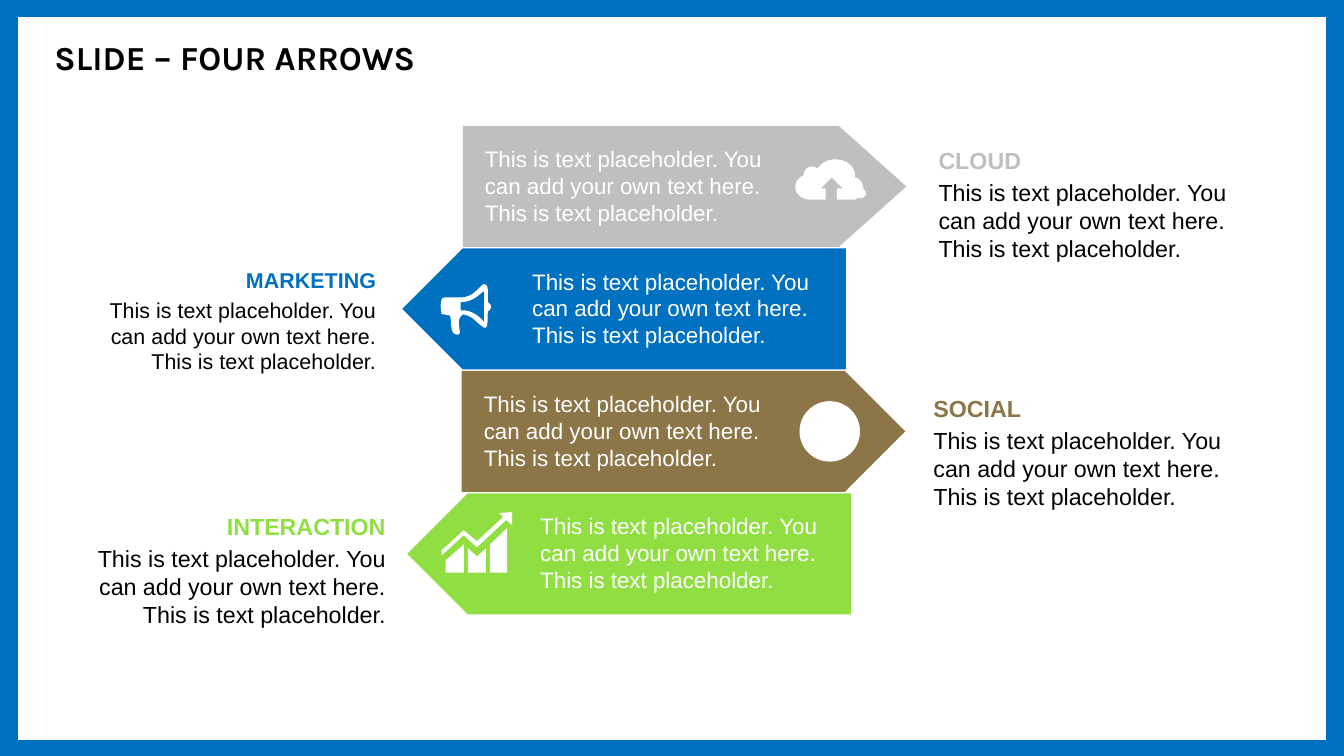
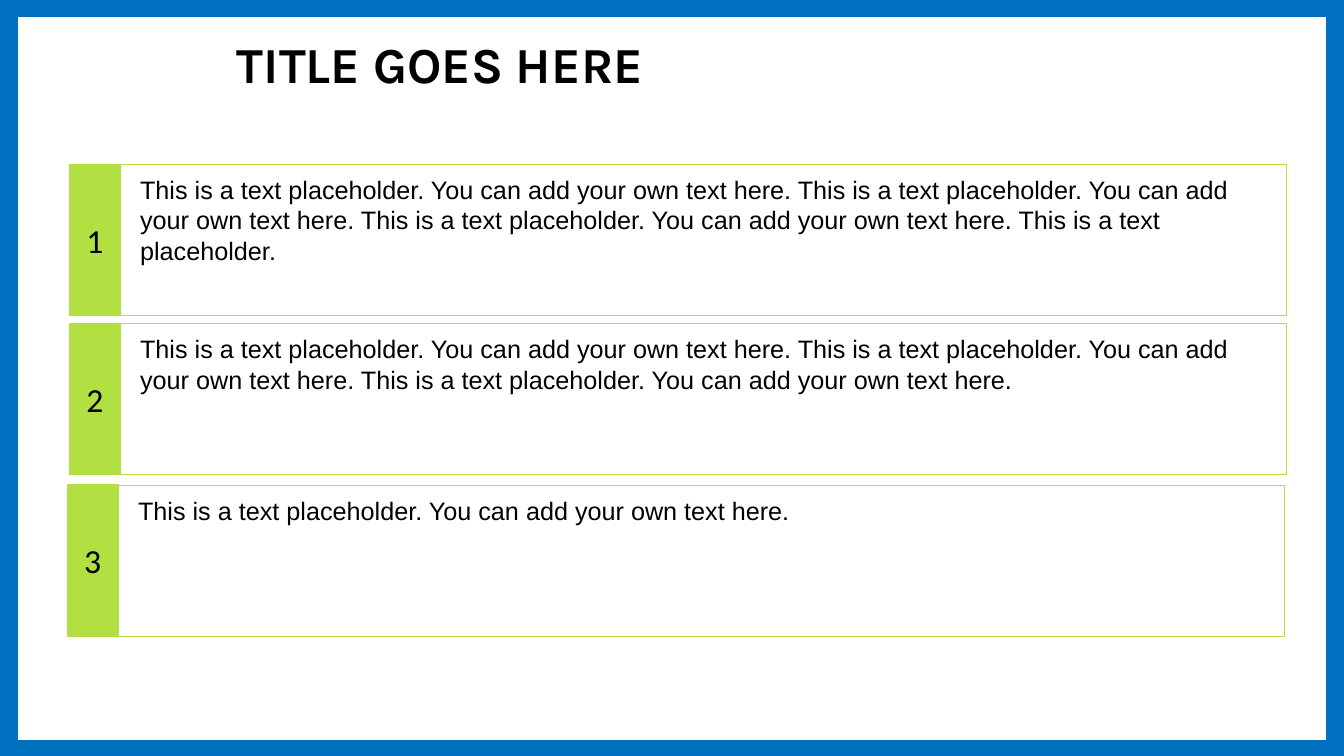
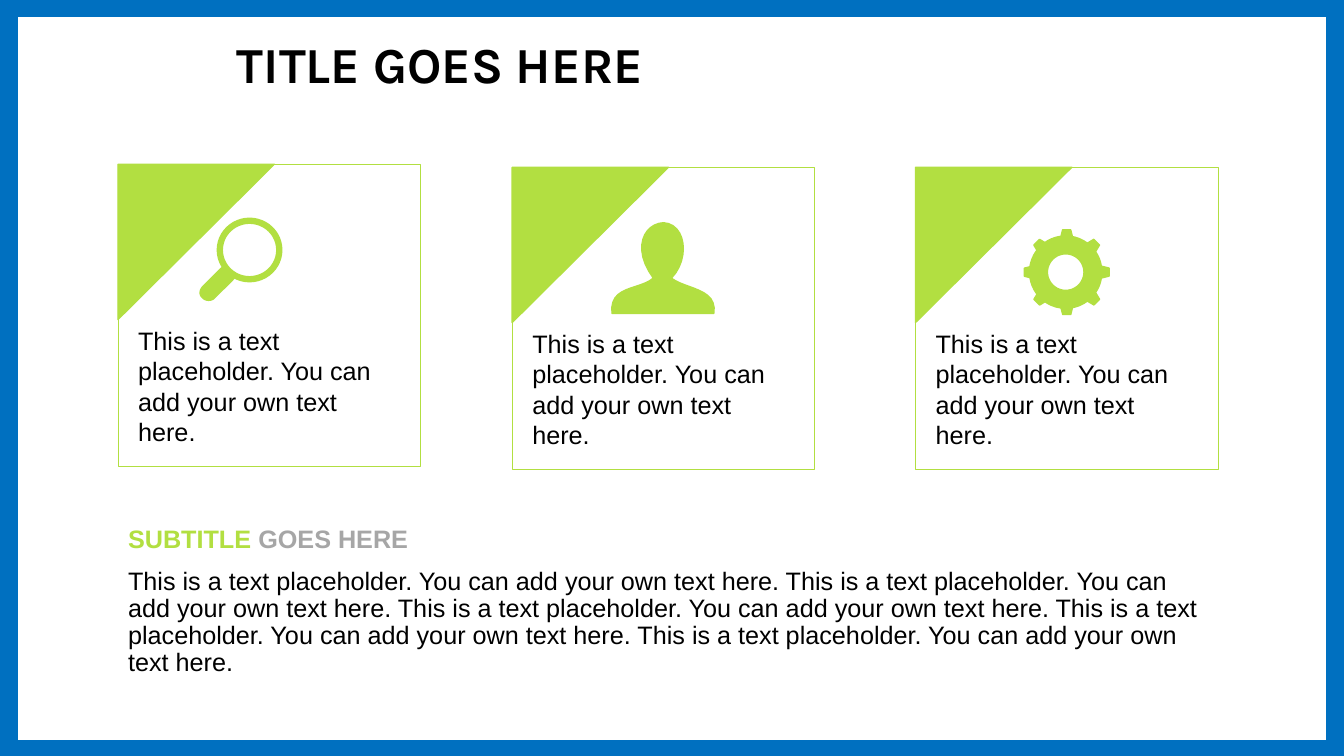
import dataclasses
import math

import lxml.etree
import pptx
import pptx.dml.color
import pptx.enum.shapes
import pptx.enum.text
import pptx.oxml.ns
import pptx.util

Inches = pptx.util.Inches
Pt = pptx.util.Pt
SHAPE = pptx.enum.shapes.MSO_SHAPE
ALIGN = pptx.enum.text.PP_ALIGN
ANCHOR = pptx.enum.text.MSO_ANCHOR


@dataclasses.dataclass(frozen=True)
class Theme:
    blue: str = "0070C0"
    white: str = "FFFFFF"
    black: str = "000000"
    silver: str = "BFBFBF"
    gray: str = "A6A6A6"
    bronze: str = "8C7546"
    green: str = "90DE42"
    lime: str = "B2DF41"
    title_font: str = "Karla"
    text_font: str = "Arial"
    number_font: str = "Calibri"
    large_title: float = 36
    small_title: float = 24
    number: float = 24
    body: float = 18
    label: float = 16.6
    small_label: float = 15.3
    arrow: float = 16


theme = Theme()


def add_figure(slide, outline, fill=None, line=None, width=1, box=None):
    """Add a preset shape in box, or a closed outline of points and 6-number Bezier curves."""
    if isinstance(outline, list):
        x, y = outline[0]
        points = []
        for step in outline[1:]:
            if len(step) == 2:
                points.append(step)
            else:
                x1, y1, x2, y2, x3, y3 = step
                for t in (n / 12 for n in range(1, 13)):
                    a, b, c, d = (1 - t) ** 3, 3 * t * (1 - t) ** 2, 3 * t * t * (1 - t), t ** 3
                    points.append((a * x + b * x1 + c * x2 + d * x3, a * y + b * y1 + c * y2 + d * y3))
            x, y = step[-2:]
        start_x, start_y = outline[0]
        builder = slide.shapes.build_freeform(Inches(start_x), Inches(start_y))
        builder.add_line_segments([(Inches(px), Inches(py)) for px, py in points], close=True)
        shape = builder.convert_to_shape()
    else:
        shape = slide.shapes.add_shape(outline, *map(Inches, box))
    shape.shadow.inherit = False
    if fill:
        shape.fill.solid()
        shape.fill.fore_color.rgb = pptx.dml.color.RGBColor.from_string(fill)
    else:
        shape.fill.background()
    if line:
        shape.line.color.rgb = pptx.dml.color.RGBColor.from_string(line)
        shape.line.width = Pt(width)
    else:
        shape.line.fill.background()
    return shape


def write_text(shape, lines, size, insets=(0.1, 0.05, 0.1, 0.05), align=ALIGN.LEFT,
               anchor=ANCHOR.TOP, font=theme.text_font, before=0, spacing=None):
    """Write one paragraph for each (text, colour, bold) in lines."""
    frame = shape.text_frame
    frame.text = "\n".join(text for text, _, _ in lines)
    frame.word_wrap = True
    frame.auto_size = pptx.enum.text.MSO_AUTO_SIZE.NONE
    frame.vertical_anchor = anchor
    frame.margin_left, frame.margin_top, frame.margin_right, frame.margin_bottom = map(Inches, insets)
    for paragraph, (_, color, bold) in zip(frame.paragraphs, lines):
        paragraph.alignment = align
        paragraph.line_spacing = spacing
        paragraph.space_before = Pt(before)
        run_font = paragraph.runs[0].font
        run_font.name = font
        run_font.size = Pt(size)
        run_font.bold = bold
        run_font.color.rgb = pptx.dml.color.RGBColor.from_string(color)


presentation = pptx.Presentation()
presentation.slide_width = Inches(13.33)
presentation.slide_height = Inches(7.5)

# Slides and titles
slides = []
for layout, text, title_box, size in [
    (5, "SLIDE – FOUR ARROWS", (0.44, 0.19, 9.08, 0.81), theme.small_title),
    (5, "TITLE GOES HERE", (2.25, 0.33, 8.42, 0.67), theme.large_title),
    (1, "TITLE GOES HERE", (2.25, 0.33, 8.42, 0.67), theme.large_title),
]:
    slide = presentation.slides.add_slide(presentation.slide_layouts[layout])
    title = slide.shapes.title
    title.left, title.top, title.width, title.height = map(Inches, title_box)
    write_text(title, [(text, theme.black, True)], size, anchor=ANCHOR.MIDDLE,
               font=theme.title_font, spacing=0.9)
    slides.append(slide)
arrow_slide, list_slide, card_slide = slides

# Blue frame, moved to the master so that every slide shows it
master_tree = presentation.slide_master.shapes.element
for index, (fill, box) in enumerate([
    (theme.blue, (0, 0, 13.33, 7.5)),
    (theme.white, (0.18, 0.17, 12.97, 7.17)),
]):
    panel = add_figure(arrow_slide, SHAPE.RECTANGLE, fill, box=box)
    panel.element.nvSpPr.cNvPr.set("id", str(100 + index))
    master_tree.insert(2 + index, panel.element)

# Slide 1: arrows
arrow_text = "This is text placeholder. You can add your own text here. This is text placeholder."
for heading, color, size, align, box in [
    ("MARKETING", theme.blue, theme.small_label, ALIGN.RIGHT, (0.7, 2.45, 3.13, 1.2)),
    ("INTERACTION", theme.green, theme.label, ALIGN.RIGHT, (0.7, 4.88, 3.22, 1.25)),
    ("SOCIAL", theme.bronze, theme.label, ALIGN.LEFT, (9.16, 3.71, 3.4, 1.2)),
    ("CLOUD", theme.silver, theme.label, ALIGN.LEFT, (9.21, 1.25, 3.38, 1.23)),
]:
    label = arrow_slide.shapes.add_textbox(*map(Inches, box))
    write_text(label, [(heading, color, True), (arrow_text, theme.black, False)], size,
               (0.1, 0.2, 0.1, 0), align, before=size * 0.2)

arrow_height = 1.2
for index, (color, tail, shoulder, tip, text_left) in enumerate([
    (theme.silver, 4.59, 8.32, 8.99, 4.71),
    (theme.blue, 8.39, 4.59, 3.99, 5.18),
    (theme.bronze, 4.58, 8.38, 8.98, 4.7),
    (theme.green, 8.44, 4.64, 4.04, 5.26),
]):
    top = 1.25 + index * 1.215
    bottom = top + arrow_height
    add_figure(arrow_slide, [(tail, top), (shoulder, top), (tip, top + arrow_height / 2),
                             (shoulder, bottom), (tail, bottom)], color)
    caption = arrow_slide.shapes.add_textbox(*map(Inches, (text_left, top + 0.09, 3.06, 0.99)))
    write_text(caption, [(arrow_text, theme.white, False)], theme.arrow,
               (0.1, 0.1, 0.1, 0.2), before=theme.arrow * 0.2)

cloud = [
    (8.25, 1.76), (8.14, 1.87), (8.19, 1.87), (8.19, 1.98), (8.01, 1.98),
    (7.84, 1.94, 7.87, 1.78, 7.97, 1.74), (7.98, 1.64, 8.07, 1.64, 8.11, 1.67),
    (8.22, 1.51, 8.5, 1.58, 8.48, 1.76), (8.54, 1.78, 8.56, 1.82, 8.56, 1.87),
    (8.63, 1.92, 8.56, 1.99, 8.5, 1.96), (8.5, 1.98, 8.48, 1.98, 8.46, 1.98),
    (8.3, 1.98), (8.3, 1.87), (8.36, 1.87),
]
megaphone = [
    (4.41, 2.95), (4.59, 2.95),
    (4.71, 2.94, 4.77, 2.82, 4.8, 2.82), (4.86, 2.82, 4.83, 2.94, 4.84, 3),
    (4.89, 3.03, 4.87, 3.07, 4.84, 3.09), (4.83, 3.14, 4.85, 3.27, 4.8, 3.25),
    (4.73, 3.21, 4.69, 3.13, 4.59, 3.12), (4.5, 3.18, 4.6, 3.32, 4.54, 3.32),
    (4.45, 3.32, 4.49, 3.19, 4.46, 3.13), (4.41, 3.12),
    (4.37, 3.12, 4.38, 3.12, 4.37, 3.03), (4.38, 2.96, 4.38, 2.96, 4.41, 2.95),
]
megaphone_opening = [
    (4.57, 3), (4.57, 3.08), (4.66, 3.07, 4.74, 3.12, 4.8, 3.19),
    (4.8, 2.89), (4.73, 2.94, 4.7, 2.99, 4.57, 3),
]
chart_bars = [
    [(4.86, 5.4), (5.03, 5.24), (5.03, 5.68), (4.86, 5.68)],
    [(4.42, 5.56), (4.6, 5.4), (4.6, 5.68), (4.42, 5.68)],
    [(4.64, 5.44), (4.73, 5.52), (4.82, 5.44), (4.82, 5.68), (4.64, 5.68)],
]
chart_arrow = [
    (4.38, 5.46), (4.38, 5.51), (4.6, 5.31), (4.73, 5.43), (5.02, 5.16), (5.08, 5.21),
    (5.08, 5.08), (4.95, 5.09), (4.99, 5.13), (4.73, 5.37), (4.6, 5.26),
]
for outline in [cloud, megaphone, *chart_bars, chart_arrow]:
    add_figure(arrow_slide, outline, theme.white)
add_figure(arrow_slide, megaphone_opening, theme.blue)
add_figure(arrow_slide, SHAPE.OVAL, theme.white, box=(7.93, 3.98, 0.6, 0.6))

# Slide 2: numbered list
statement = "This is a text placeholder."
sentence = statement + " You can add your own text here."
for number, (left, top, text) in enumerate([
    (0.69, 1.63, " ".join([sentence] * 3 + [statement])),
    (0.69, 3.21, " ".join([sentence] * 3)),
    (0.67, 4.81, sentence),
], start=1):
    text_box = add_figure(list_slide, SHAPE.RECTANGLE, theme.white, theme.lime, 0.25,
                          (left + 0.5, top, 11.57, 1.5))
    write_text(text_box, [(text, theme.black, False)], theme.body,
               (0.2, 0.1, 0.2, 0.1), before=theme.body * 0.2)
    number_box = add_figure(list_slide, SHAPE.RECTANGLE, theme.lime, theme.lime, 0.5,
                            (left, top, 0.5, 1.5))
    write_text(number_box, [(str(number), theme.black, False)], theme.number,
               align=ALIGN.CENTER, anchor=ANCHOR.MIDDLE, font=theme.number_font)

# Slide 3: subtitle and body
body = card_slide.placeholders[1]
body.left, body.top, body.width, body.height = map(Inches, (1.17, 5.18, 10.92, 1.74))
write_text(body, [("SUBTITLE ", theme.lime, True), (" ".join([sentence] * 5), theme.black, False)],
           theme.body, before=10, spacing=0.9)
subtitle_end = body.text_frame.paragraphs[0].add_run()
subtitle_end.text = "GOES HERE"
subtitle_end.font.name = theme.text_font
subtitle_end.font.size = Pt(theme.body)
subtitle_end.font.bold = True
subtitle_end.font.color.rgb = pptx.dml.color.RGBColor.from_string(theme.gray)
for paragraph in body.text_frame.paragraphs:
    properties = paragraph._p.get_or_add_pPr()
    properties.set("marL", "0")
    properties.set("indent", "0")
    lxml.etree.SubElement(properties, pptx.oxml.ns.qn("a:buNone"))

# Slide 3: cards
for left, top in [(1.17, 1.63), (5.08, 1.66), (9.08, 1.66)]:
    card = add_figure(card_slide, SHAPE.RECTANGLE, theme.white, theme.lime, 0.25, (left, top, 3, 3))
    write_text(card, [(sentence, theme.black, False)], theme.body,
               (0.2, 1.6, 0.2, 0.1), before=theme.body * 0.2)
    add_figure(card_slide, [(left, top + 1.54), (left, top), (left + 1.55, top)],
               theme.lime, theme.lime)

magnifier_handle = [
    (2.02, 2.93), (2, 2.91, 2.01, 2.88, 2.03, 2.86), (2.21, 2.68),
    (2.23, 2.66, 2.24, 2.68, 2.26, 2.7), (2.27, 2.72), (2.29, 2.74, 2.32, 2.73, 2.29, 2.76),
    (2.11, 2.94), (2.09, 2.96, 2.05, 2.96, 2.03, 2.94),
]
add_figure(card_slide, magnifier_handle, theme.lime, theme.lime, 4.5)
add_figure(card_slide, SHAPE.FLOWCHART_CONNECTOR, None, theme.lime, 4.5, (2.18, 2.19, 0.59, 0.58))

person = [
    (6.07, 3.11), (7.08, 3.11), (7.12, 2.86, 6.8, 2.87, 6.66, 2.76),
    (6.85, 2.56, 6.8, 2.22, 6.58, 2.21), (6.39, 2.22, 6.26, 2.46, 6.48, 2.76),
    (6.34, 2.88, 6.04, 2.83, 6.07, 3.11),
]
add_figure(card_slide, person, theme.lime, theme.lime)

gear_x, gear_y, gear_radius, tooth_size = 10.58, 2.7, 0.34, 0.16
add_figure(card_slide, SHAPE.OVAL, None, theme.lime, 13.75, (10.3, 2.43, 0.54, 0.54))
for angle in range(0, 360, 45):
    tooth_x = gear_x + gear_radius * math.sin(math.radians(angle)) - tooth_size / 2
    tooth_y = gear_y - gear_radius * math.cos(math.radians(angle)) - tooth_size / 2
    tooth = add_figure(card_slide, SHAPE.TRAPEZOID, theme.lime, theme.lime,
                       box=(tooth_x, tooth_y, tooth_size, tooth_size))
    tooth.rotation = angle

presentation.save("out.pptx")
